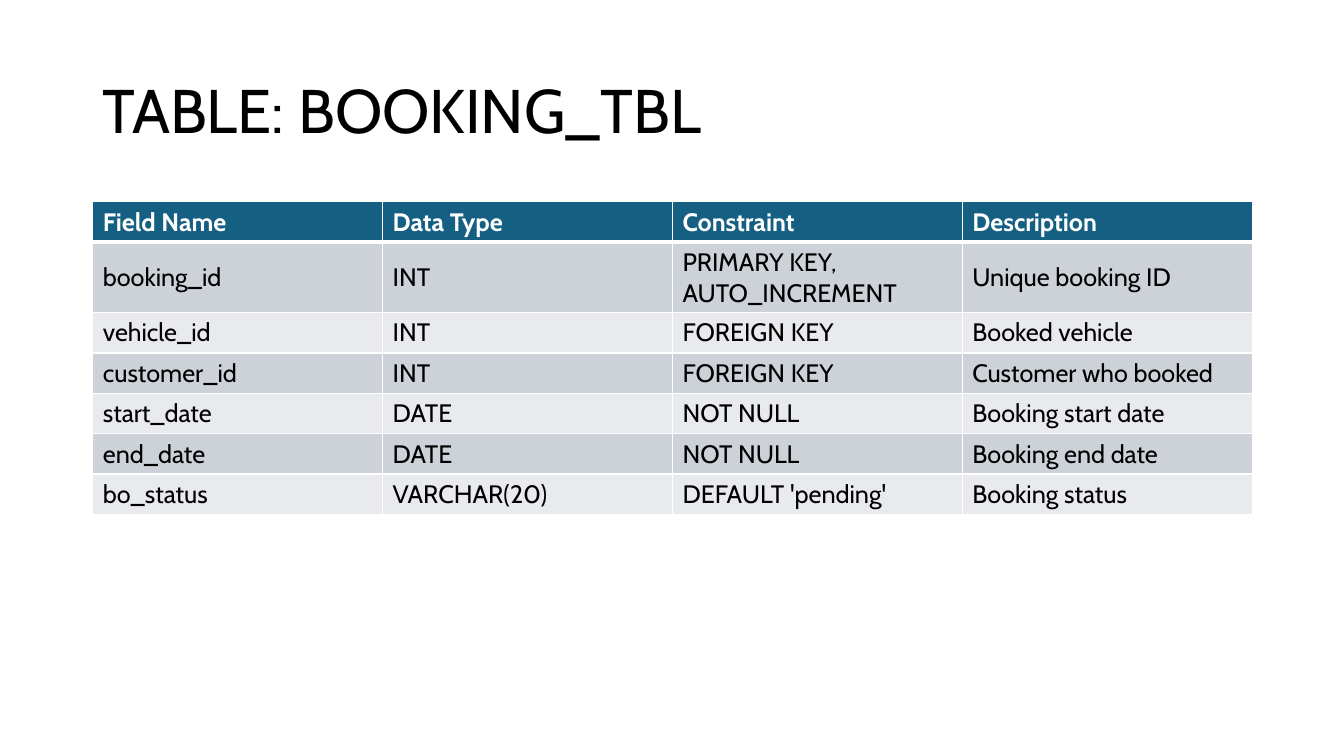
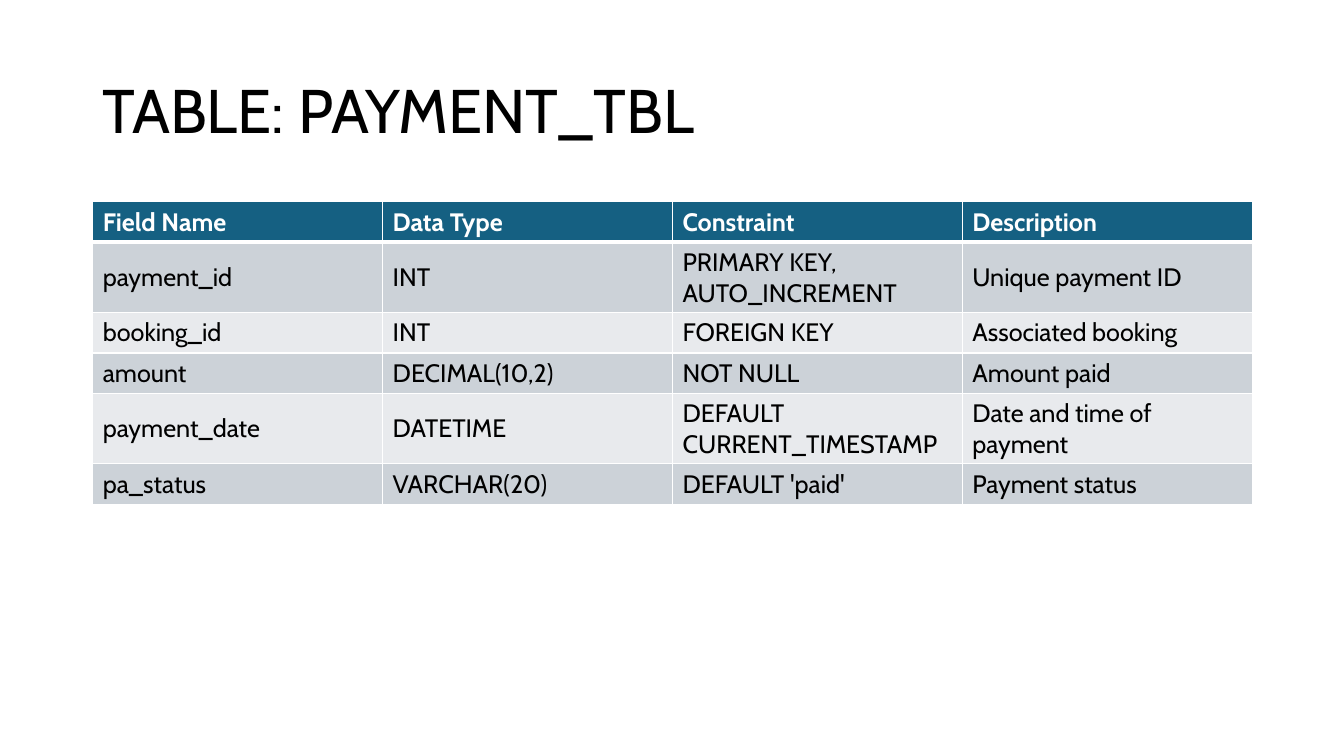
"""Build two slides that describe the fields of database tables."""
from dataclasses import dataclass

from lxml import etree
from pptx import Presentation
from pptx.dml.color import RGBColor
from pptx.enum.text import MSO_ANCHOR
from pptx.oxml.ns import qn
from pptx.slide import Slide
from pptx.table import _Cell
from pptx.text.text import TextFrame
from pptx.util import Inches, Pt

MIDDLE = MSO_ANCHOR.MIDDLE
FONT = "Cabin"
COLORS = {
    "text": "000000",
    "line": "FFFFFF",
    "head": "156082",
    "light": "FFFFFF",
    "odd": "CCD2D8",
    "even": "E8EAED",
}
LEFT, WIDTH = Inches(0.92), Inches(11.5)
TITLE_TOP, TITLE_HIGH = Inches(0.4), Inches(1.45)
GRID_TOP, ROW_HIGH = Inches(2), Inches(0.4)
HEADER = ("Field Name", "Data Type", "Constraint", "Description")
THIN, THICK = Pt(1), Pt(3)


@dataclass(frozen=True)
class Field:
    """One field of a database table."""
    name: str
    kind: str
    rule: str
    note: str


@dataclass(frozen=True)
class Page:
    """One slide with a title and its fields."""
    title: str
    fields: tuple[Field, ...]


PAGES = (
    Page("TABLE: BOOKING_TBL", (
        Field("booking_id", "INT", "PRIMARY KEY, AUTO_INCREMENT", "Unique booking ID"),
        Field("vehicle_id", "INT", "FOREIGN KEY", "Booked vehicle"),
        Field("customer_id", "INT", "FOREIGN KEY", "Customer who booked"),
        Field("start_date", "DATE", "NOT NULL", "Booking start date"),
        Field("end_date", "DATE", "NOT NULL", "Booking end date"),
        Field("bo_status", "VARCHAR(20)", "DEFAULT 'pending'", "Booking status"),
    )),
    Page("TABLE: PAYMENT_TBL", (
        Field("payment_id", "INT", "PRIMARY KEY, AUTO_INCREMENT", "Unique payment ID"),
        Field("booking_id", "INT", "FOREIGN KEY", "Associated booking"),
        Field("amount", "DECIMAL(10,2)", "NOT NULL", "Amount paid"),
        Field("payment_date", "DATETIME", "DEFAULT CURRENT_TIMESTAMP",
              "Date and time of payment"),
        Field("pa_status", "VARCHAR(20)", "DEFAULT 'paid'", "Payment status"),
    )),
)


def set_text(frame: TextFrame, text: str, size: int, color: str, bold: bool = False) -> None:
    """Write one styled paragraph."""
    frame.text = text
    frame.word_wrap = True
    font = frame.paragraphs[0].runs[0].font
    font.name, font.size, font.bold = FONT, Pt(size), bold
    font.color.rgb = RGBColor.from_string(COLORS[color])


def add_title(slide: Slide, text: str) -> None:
    """Add the slide title."""
    frame = slide.shapes.add_textbox(LEFT, TITLE_TOP, WIDTH, TITLE_HIGH).text_frame
    set_text(frame, text, 44, "text")
    frame.vertical_anchor = MIDDLE
    frame.paragraphs[0].line_spacing = 0.9


def add_lines(cell: _Cell, top: int, bottom: int) -> None:
    """Draw the four borders of a cell."""
    props = cell._tc.get_or_add_tcPr()
    for tag, width in (("lnL", THIN), ("lnR", THIN), ("lnT", top), ("lnB", bottom)):
        line = etree.SubElement(props, qn(f"a:{tag}"), w=str(int(width)))
        fill = etree.SubElement(line, qn("a:solidFill"))
        etree.SubElement(fill, qn("a:srgbClr"), val=COLORS["line"])


def fill_cell(cell: _Cell, text: str, row: int) -> None:
    """Style a cell by its row."""
    head = row == 0
    set_text(cell.text_frame, text, 18, "light" if head else "text", head)
    cell.vertical_anchor = MIDDLE
    add_lines(cell, THICK if row == 1 else THIN, THICK if head else THIN)
    cell.fill.solid()
    band = "head" if head else "odd" if row % 2 else "even"
    cell.fill.fore_color.rgb = RGBColor.from_string(COLORS[band])


def add_grid(slide: Slide, fields: tuple[Field, ...]) -> None:
    """Add the table of fields."""
    rows = [HEADER, *((f.name, f.kind, f.rule, f.note) for f in fields)]
    count = len(rows)
    grid = slide.shapes.add_table(
        count, len(HEADER), LEFT, GRID_TOP, WIDTH, ROW_HIGH * count).table
    for row, texts in enumerate(rows):
        for col, text in enumerate(texts):
            fill_cell(grid.cell(row, col), text, row)


def main() -> None:
    """Build and save the deck."""
    deck = Presentation()
    deck.slide_width, deck.slide_height = Inches(13.33), Inches(7.5)
    blank = deck.slide_layouts[6]
    for page in PAGES:
        slide = deck.slides.add_slide(blank)
        add_title(slide, page.title)
        add_grid(slide, page.fields)
    deck.save("out.pptx")


if __name__ == "__main__":
    main()
